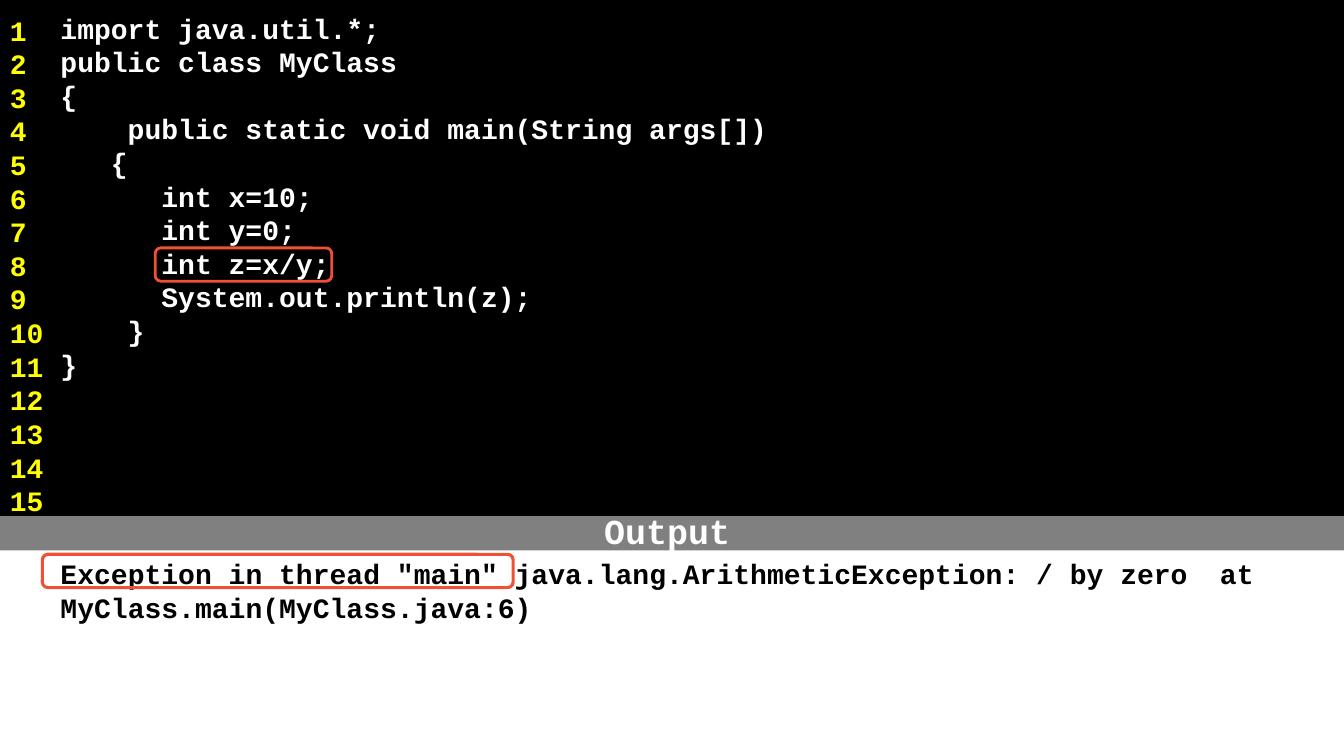
import pptx
import pptx.util
import pptx.dml.color
import pptx.enum.shapes
import pptx.enum.text
import pptx.oxml.ns
import lxml.etree

CODE = [
    "import java.util.*;",
    "public class MyClass",
    "{",
    "    public static void main(String args[])",
    "   {",
    "      int x=10;",
    "      int y=0;",
    "      int z=x/y;",
    "      System.out.println(z);",
    "    }",
    "}",
]
COUNT = [str(n) for n in range(1, 16)]
RESULT = ['Exception in thread "main" java.lang.ArithmeticException: / by zero\tat MyClass.main(MyClass.java:6)']
TITLE = ["Output"]

THEME = {
    "font": "Courier New",
    "black": "000000",
    "white": "FFFFFF",
    "yellow": "FFFF00",
    "grey": "808080",
    "red": "F05136",
    "body": 20,
    "head": 25,
}

TOP = pptx.enum.text.MSO_ANCHOR.TOP
MIDDLE = pptx.enum.text.MSO_ANCHOR.MIDDLE
LEFT = pptx.enum.text.PP_ALIGN.LEFT
CENTER = pptx.enum.text.PP_ALIGN.CENTER
KIND = pptx.enum.shapes.MSO_SHAPE

WIDE, HIGH = 13.33, 7.5
GUTTER = 4.35
STRIP = 1.07
SPLIT = 68.27

PANELS = [
    {"at": (0, 0, 100, 100), "fill": "black", "lines": CODE, "ink": "white", "pad": (0.6, 0.11, 0.1, 1)},
    {"at": (0, 0, GUTTER, STRIP), "fill": "black", "alpha": 68},
    {"at": (0, STRIP, GUTTER, 100 - STRIP), "fill": "black", "alpha": 68,
     "lines": COUNT, "ink": "yellow", "pad": (0.1, 0.05, 0.1, 1)},
    {"at": (0, SPLIT, 100.08, 100 - SPLIT), "fill": "white", "lines": RESULT, "ink": "black", "pad": (0.6, 0.4, 0.1, 0.1)},
    {"at": (0, SPLIT, 100, 4.53), "fill": "grey", "lines": TITLE, "ink": "white", "pad": (0, 0.05, 0.1, 0.1),
     "size": "head", "anchor": MIDDLE, "align": CENTER},
]
MARKS = [
    {"at": (3.15, 73.33, 35.03, 4.4), "line": 2.25},
    {"at": (11.55, 32.8, 13.13, 4.4), "line": 2},
]


def tint(name):
    return pptx.dml.color.RGBColor.from_string(THEME[name])


def place(slide, kind, share):
    x, y, w, h = share
    spot = [pptx.util.Inches(part * side / 100) for part, side in ((x, WIDE), (y, HIGH), (w, WIDE), (h, HIGH))]
    shape = slide.shapes.add_shape(kind, *spot)
    shape.shadow.inherit = False
    return shape


def write(shape, panel):
    frame = shape.text_frame
    pads = dict(zip(("margin_left", "margin_top", "margin_right", "margin_bottom"), map(pptx.util.Inches, panel["pad"])))
    for key, value in {**pads, "word_wrap": True, "vertical_anchor": panel.get("anchor", TOP)}.items():
        setattr(frame, key, value)
    style = {"name": THEME["font"], "size": pptx.util.Pt(THEME[panel.get("size", "body")]), "bold": True}
    for i, line in enumerate(panel["lines"]):
        para = frame.add_paragraph() if i else frame.paragraphs[0]
        para.alignment = panel.get("align", LEFT)
        run = para.add_run()
        run.text = line
        for key, value in style.items():
            setattr(run.font, key, value)
        run.font.color.rgb = tint(panel["ink"])


def draw(slide, panel):
    shape = place(slide, KIND.RECTANGLE, panel["at"])
    shape.fill.solid()
    shape.fill.fore_color.rgb = tint(panel["fill"])
    shape.line.fill.background()
    if "alpha" in panel:
        color = shape.element.spPr.find(".//" + pptx.oxml.ns.qn("a:srgbClr"))
        lxml.etree.SubElement(color, pptx.oxml.ns.qn("a:alpha")).set("val", str(panel["alpha"] * 1000))
    if "lines" in panel:
        write(shape, panel)


def frame(slide, mark):
    shape = place(slide, KIND.ROUNDED_RECTANGLE, mark["at"])
    shape.fill.background()
    shape.line.color.rgb = tint("red")
    shape.line.width = pptx.util.Pt(mark["line"])


def main():
    deck = pptx.Presentation()
    deck.slide_width = pptx.util.Inches(WIDE)
    deck.slide_height = pptx.util.Inches(HIGH)
    slide = deck.slides.add_slide(deck.slide_layouts[6])
    for panel in PANELS:
        draw(slide, panel)
    for mark in MARKS:
        frame(slide, mark)
    deck.save("out.pptx")


if __name__ == "__main__":
    main()
